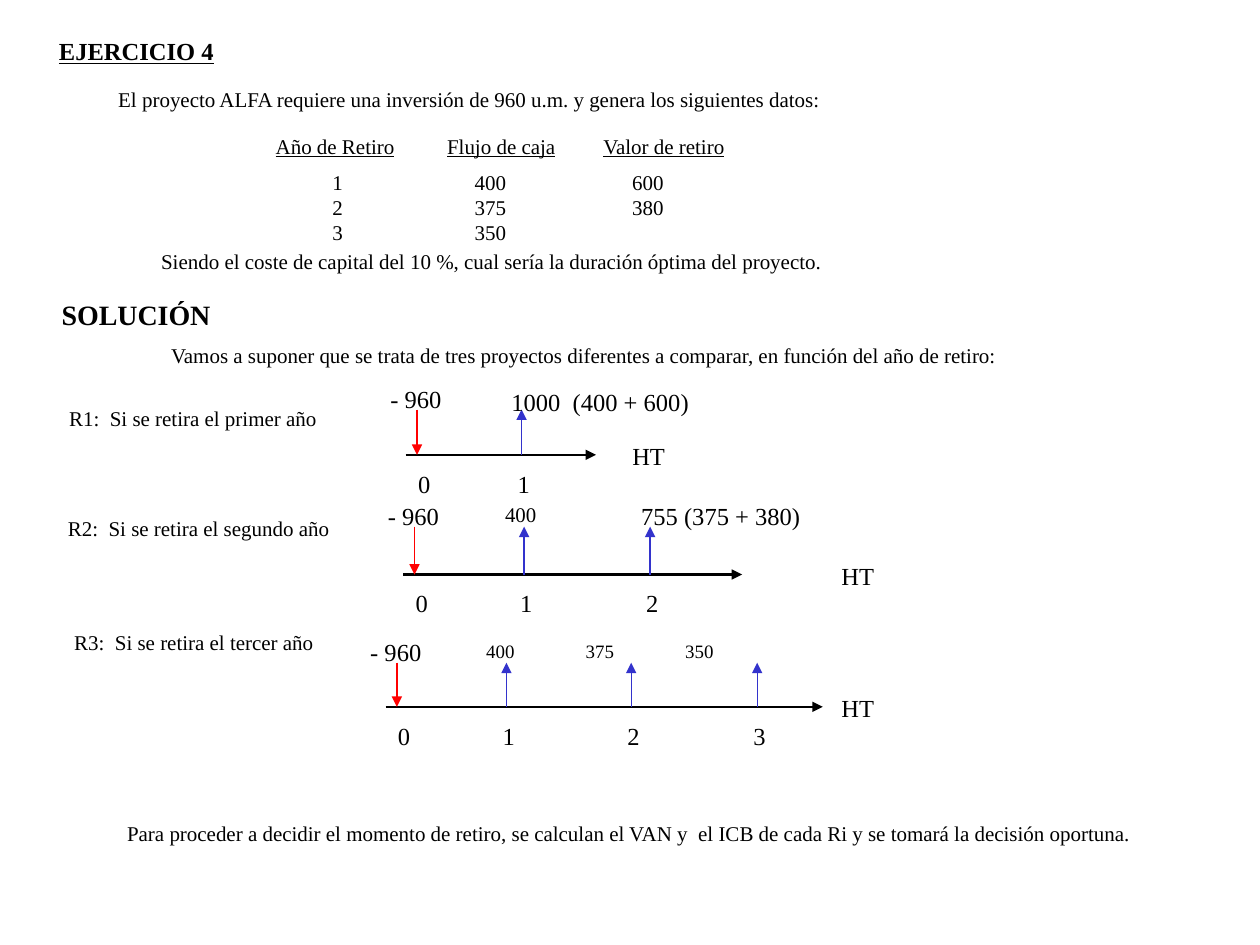
from pptx import Presentation
from pptx.dml.color import RGBColor
from pptx.enum.shapes import MSO_CONNECTOR
from pptx.enum.text import MSO_AUTO_SIZE
from pptx.oxml.ns import qn
from pptx.util import Inches, Pt
from lxml import etree

STRAIGHT = MSO_CONNECTOR.STRAIGHT
FIT_SHAPE = MSO_AUTO_SIZE.SHAPE_TO_FIT_TEXT
FIXED = MSO_AUTO_SIZE.NONE

THEME = {
    "font": "Times New Roman",
    "ink": RGBColor(0, 0, 0),
    "outflow": RGBColor(255, 0, 0),
    "inflow": RGBColor(0x33, 0x33, 0xCC),
    "body": 12, "diagram": 14, "title": 14, "section": 16,
    "axis_width": 1.5, "outflow_width": 1, "inflow_width": 0.75,
}

HEADINGS = [
    ("EJERCICIO 4", 0.37, 0.24, 1.43, 0.34, "title", True),
    ("SOLUCIÓN", 0.39, 2.31, 1.38, 0.37, "section", False),
]
SENTENCES = [
    ("El proyecto ALFA requiere una inversión de 960 u.m. y genera los siguientes datos:", 0.84, 0.64, 5.8),
    ("Siendo el coste de capital del 10 %, cual sería la duración óptima del proyecto.", 1.18, 1.92, 5.45),
    ("Vamos a suponer que se trata de tres proyectos diferentes a comparar, "
     "en función del año de retiro:", 1.26, 2.67, 6.78),
    ("R1:  Si se retira el primer año", 0.45, 3.17, 2.17),
    ("R2:  Si se retira el segundo año", 0.44, 4.04, 2.36),
    ("R3:  Si se retira el tercer año", 0.49, 4.95, 2.14),
    ("Para proceder a decidir el momento de retiro, se calculan el VAN y  el ICB de cada Ri "
     "y se tomará la decisión oportuna.", 0.91, 6.46, 8.19),
]
COLUMNS = ["Año de Retiro", "Flujo de caja", "Valor de retiro"]
COLUMN_STOPS = [0.08, 1.44, 2.68]
RETIREMENT_ROWS = [("1", "400", "600"), ("2", "375", "380"), ("3", "350")]
ROW_STOPS = [0.53, 1.66, 2.91]

TIMELINES = [
    {"start": 3.22, "end": 4.73, "axis": 3.61, "rise": 0.36, "years": [4.14], "unit": 4.92,
     "flows": [(["1000  (400 + 600)"], 3.96, 3.02, 1.79, 14)]},
    {"start": 3.2, "end": 5.89, "axis": 4.56, "rise": 0.38, "years": [4.16, 5.16], "unit": 6.58,
     "flows": [(["400"], 3.91, 3.93, 0.62, 11.9), (["755 (375 + 380)"], 4.99, 3.93, 1.79, 14)]},
    {"start": 3.06, "end": 6.53, "axis": 5.61, "rise": 0.35, "years": [4.02, 5.01, 6.01], "unit": 6.58,
     "flows": [(["400", "375", "350"], 3.76, 5.03, 2.75, 10.8)]},
]
FLOW_STOPS = [0.79, 1.58]
INSET = 0.1
DIGIT_SHIFT = 0.03


def add_frame(shapes, left, top, width, height, wrap=False):
    frame = shapes.add_textbox(*map(Inches, (left, top, width, height))).text_frame
    frame.word_wrap = wrap
    frame.auto_size = FIXED if wrap else FIT_SHAPE
    return frame


def style(paragraph, size, stops=()):
    if stops:
        tabs = etree.SubElement(paragraph._p.get_or_add_pPr(), qn("a:tabLst"))
        for stop in stops:
            etree.SubElement(tabs, qn("a:tab"), pos=str(Inches(stop)), algn="l")
    font = paragraph.font
    font.name, font.size = THEME["font"], Pt(size)
    font.color.rgb = THEME["ink"]
    return font


def add_label(shapes, words, left, top, width, height, size, stops=(), wrap=False):
    paragraph = add_frame(shapes, left, top, width, height, wrap).paragraphs[0]
    paragraph.text = words
    return style(paragraph, size, stops)


def add_arrow(shapes, x1, y1, x2, y2, color, weight):
    arrow = shapes.add_connector(STRAIGHT, *map(Inches, (x1, y1, x2, y2)))
    arrow.line.color.rgb = THEME[color]
    arrow.line.width = Pt(weight)
    etree.SubElement(arrow.line._get_or_add_ln(), qn("a:tailEnd"), type="triangle")
    etree.SubElement(arrow._element.spPr, qn("a:effectLst"))


def add_retirement_data(shapes):
    frame = add_frame(shapes, 2.01, 1.01, 3.86, 0.99, wrap=True)
    header = frame.paragraphs[0]
    style(header, THEME["body"], COLUMN_STOPS)
    for column in COLUMNS:
        header.add_run().text = "\t"
        title = header.add_run()
        title.text = column
        title.font.underline = True
    for index, values in enumerate(RETIREMENT_ROWS):
        row = frame.add_paragraph()
        row.text = "".join("\t" + value for value in values)
        style(row, THEME["body"], ROW_STOPS)
        if index == 0:
            row.space_before = Pt(6)


def add_timeline(shapes, start, end, axis, rise, years, unit, flows):
    size = THEME["diagram"]
    peak = axis - rise
    add_arrow(shapes, start, axis, end, axis, "ink", THEME["axis_width"])
    add_label(shapes, "HT", unit, axis - 0.16, 0.5, 0.34, size, wrap=True)
    add_arrow(shapes, start + 0.09, peak, start + 0.09, axis, "outflow", THEME["outflow_width"])
    add_label(shapes, "- 960", start - 0.22, peak - 0.25, 0.7, 0.34, size, wrap=True)
    for year in years:
        add_arrow(shapes, year, axis, year, peak, "inflow", THEME["inflow_width"])
    digits = "\t".join(str(number) for number in range(len(years) + 1))
    stops = [year - DIGIT_SHIFT - start - INSET for year in years]
    add_label(shapes, digits, start, axis + 0.06, years[-1] - start + 0.4, 0.34, size, stops, wrap=True)
    for amounts, left, top, width, flow_size in flows:
        add_label(shapes, "\t".join(amounts), left, top, width, 0.34, flow_size,
                  FLOW_STOPS[:len(amounts) - 1], wrap=True)


def main():
    """Build the slide on the optimal duration of a project."""
    deck = Presentation()
    deck.slide_width, deck.slide_height = Inches(10), Inches(7.5)
    shapes = deck.slides.add_slide(deck.slide_layouts[6]).shapes
    for words, left, top, width, height, level, underlined in HEADINGS:
        font = add_label(shapes, words, left, top, width, height, THEME[level])
        font.bold, font.underline = True, underlined
    for words, left, top, width in SENTENCES:
        add_label(shapes, words, left, top, width, 0.3, THEME["body"])
    add_retirement_data(shapes)
    for timeline in TIMELINES:
        add_timeline(shapes.add_group_shape().shapes, **timeline)
    deck.save("out.pptx")


if __name__ == "__main__":
    main()
